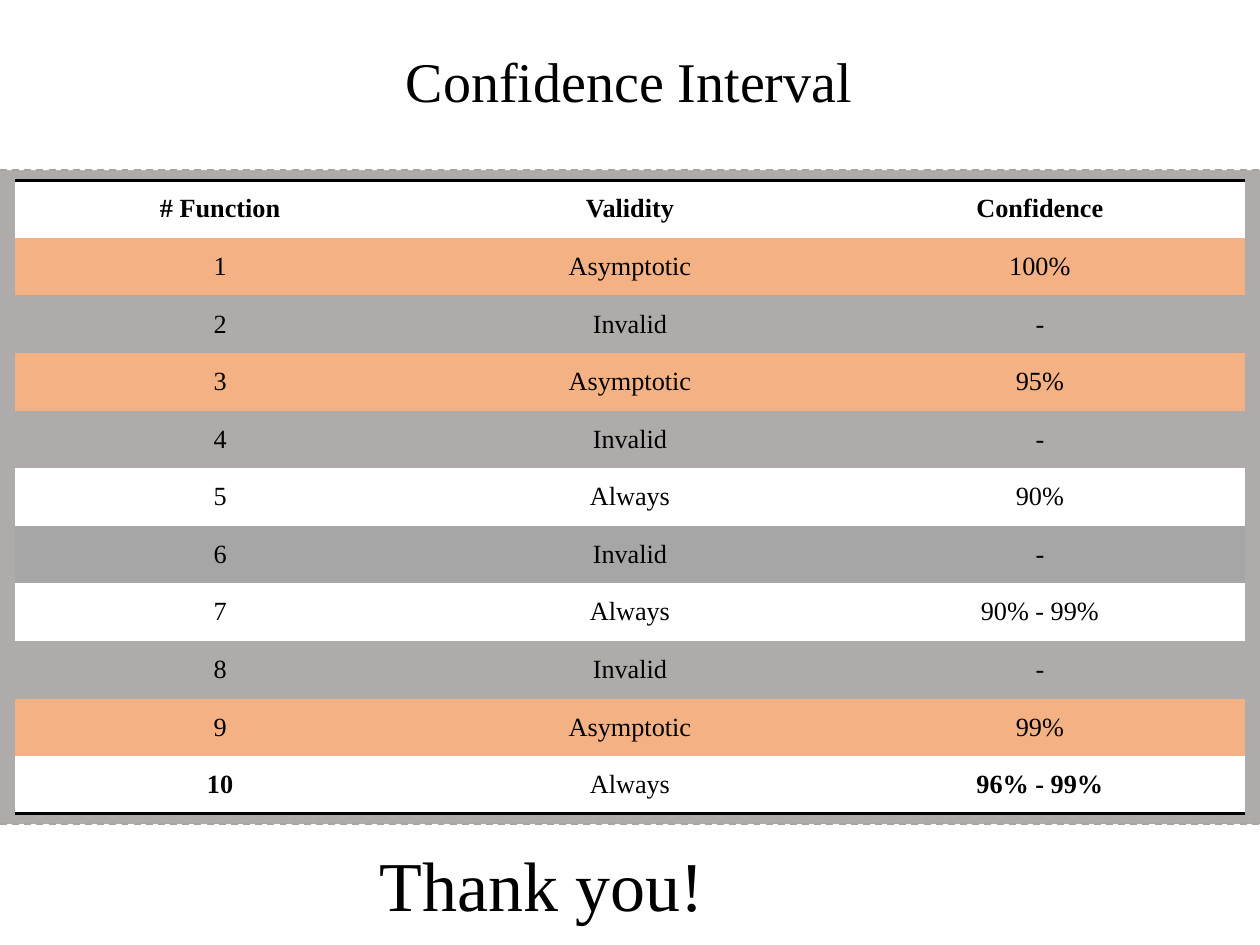
import dataclasses

import lxml.etree
import pptx
import pptx.dml.color
import pptx.enum.dml
import pptx.enum.shapes
import pptx.enum.text
import pptx.oxml.ns
import pptx.util

qn = pptx.oxml.ns.qn
CENTER = pptx.enum.text.PP_ALIGN.CENTER
MIDDLE = pptx.enum.text.MSO_ANCHOR.MIDDLE
NO_GRID_STYLE = "{2D5ABB26-0587-4C30-8999-92F81FD0307C}"


def rgb(value):
    return pptx.dml.color.RGBColor.from_string(value)


def set_values(target, values):
    for name, value in values.items():
        setattr(target, name, value)


@dataclasses.dataclass
class Theme:
    font: str = "Times New Roman"
    ink: str = "000000"
    paper: str = "FFFFFF"
    ground: str = "AFABAB"
    asymptotic: str = "F4B183"
    dark_row: str = "A6A6A6"
    dash: str = "A5A5A5"
    title_size: int = 32
    closing_size: int = 40
    table_size: int = 15


class Builder:
    """Places elements on a grid of 100 columns by 75 rows."""

    def __init__(self, deck, theme):
        self.theme = theme
        self.column = deck.slide_width / 100
        self.row = deck.slide_height / 75
        self.page = deck.slides.add_slide(deck.slide_layouts[5])
        self.page.background.fill.solid()
        self.page.background.fill.fore_color.rgb = rgb(theme.ground)

    def place(self, left, top, width, height):
        return (round(left * self.column), round(top * self.row),
                round(width * self.column), round(height * self.row))

    def add_text(self, frame, text, size, bold=False):
        para = frame.paragraphs[0]
        para.alignment = CENTER
        span = para.add_run()
        span.text = text
        set_values(span.font, {"name": self.theme.font, "bold": bold,
                               "size": pptx.util.Pt(size)})
        span.font.color.rgb = rgb(self.theme.ink)

    def band(self, *area):
        box = self.page.shapes.add_shape(
            pptx.enum.shapes.MSO_SHAPE.RECTANGLE, *self.place(*area))
        box.shadow.inherit = False
        box.fill.solid()
        box.fill.fore_color.rgb = rgb(self.theme.paper)
        box.line.fill.background()

    def fit(self, box, text, size):
        set_values(box.text_frame, {
            "word_wrap": True, "vertical_anchor": pptx.enum.text.MSO_ANCHOR.TOP,
            "auto_size": pptx.enum.text.MSO_AUTO_SIZE.SHAPE_TO_FIT_TEXT})
        self.add_text(box.text_frame, text, size)

    def title(self, text, *area):
        box = self.page.shapes.title
        # Bring the title in front of the white band
        box.element.getparent().append(box.element)
        set_values(box, dict(zip(("left", "top", "width", "height"), self.place(*area))))
        self.fit(box, text, self.theme.title_size)

    def closing(self, text, *area):
        box = self.page.shapes.add_textbox(*self.place(*area))
        self.fit(box, text, self.theme.closing_size)

    def divider(self, top):
        left, level, width, _ = self.place(0, top, 100, 0)
        line = self.page.shapes.add_connector(
            pptx.enum.shapes.MSO_CONNECTOR.STRAIGHT, left, level, width, level)
        line.line.color.rgb = rgb(self.theme.dash)
        set_values(line.line, {"width": pptx.util.Pt(1),
                               "dash_style": pptx.enum.dml.MSO_LINE.DASH})
        properties = line.element.find(qn("p:spPr"))
        lxml.etree.SubElement(properties, qn("a:effectLst"))

    def rule(self, cell_properties, side):
        edge = lxml.etree.Element(qn(f"a:{side}"), w=str(int(pptx.util.Pt(2))))
        fill = lxml.etree.SubElement(edge, qn("a:solidFill"))
        lxml.etree.SubElement(fill, qn("a:srgbClr"), val=self.theme.ink)
        cell_properties.insert(0, edge)

    def table(self, rows, fills, bold_cells, *area):
        width = len(rows[0])
        frame = self.page.shapes.add_table(len(rows), width, *self.place(*area))
        set_values(frame.table, {"first_row": False, "horz_banding": False})
        next(frame.element.iter(qn("a:tableStyleId"))).text = NO_GRID_STYLE
        side_margin, end_margin = pptx.util.Inches(0.14), pptx.util.Inches(0.09)
        cell_format = {"vertical_anchor": MIDDLE,
                       "margin_left": side_margin, "margin_right": side_margin,
                       "margin_top": end_margin, "margin_bottom": end_margin}
        for r, (values, fill) in enumerate(zip(rows, fills)):
            for c, value in enumerate(values):
                cell = frame.table.cell(r, c)
                set_values(cell, cell_format)
                cell.fill.solid()
                cell.fill.fore_color.rgb = rgb(fill)
                self.add_text(cell.text_frame, value, self.theme.table_size,
                              (r, c) in bold_cells)
        # Heavy rules above the header and below the last row
        cells = list(frame.element.iter(qn("a:tcPr")))
        for side, edge_cells in (("lnT", cells[:width]), ("lnB", cells[-width:])):
            for cell_properties in edge_cells:
                self.rule(cell_properties, side)


def main():
    deck = pptx.Presentation()
    set_values(deck, {"slide_width": pptx.util.Inches(10),
                      "slide_height": pptx.util.Inches(7.5)})
    theme = Theme()
    builder = Builder(deck, theme)
    band_end, band_start = 13.5, 65.4

    # White bands with their texts
    builder.band(0, 0, 100, band_end)
    builder.title("Confidence Interval", -13.4, 3.2, 126.7, 6.4)
    builder.band(0, band_start, 100, 75 - band_start)
    builder.closing("Thank you!", 9.8, 66.3, 66.4, 7.7)

    # Dashed band edges
    for top in (band_end, band_start):
        builder.divider(top)

    # Validity table, each row coloured by its validity
    results = [("Asymptotic", "100%"), ("Invalid", "-"), ("Asymptotic", "95%"),
               ("Invalid", "-"), ("Always", "90%"), ("Invalid", "-"),
               ("Always", "90% - 99%"), ("Invalid", "-"),
               ("Asymptotic", "99%"), ("Always", "96% - 99%")]
    rows = [("# Function", "Validity", "Confidence")]
    rows += [(str(number), *result) for number, result in enumerate(results, 1)]
    colours = {"Asymptotic": theme.asymptotic, "Invalid": theme.ground}
    fills = [colours.get(row[1], theme.paper) for row in rows]
    fills[6] = theme.dark_row
    bold_cells = {(0, 0), (0, 1), (0, 2), (10, 0), (10, 2)}
    builder.table(rows, fills, bold_cells, 1.2, 14.3, 97.6, 50.3)

    deck.save("out.pptx")


if __name__ == "__main__":
    main()
